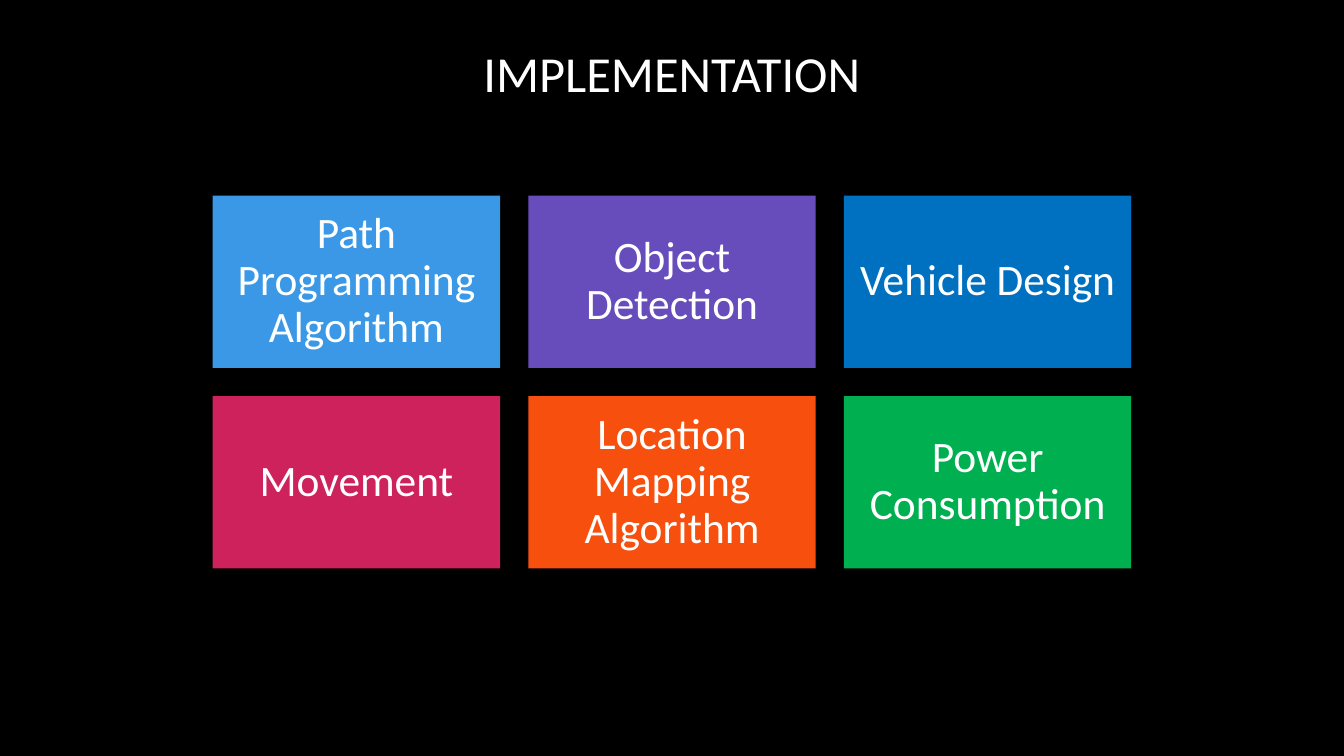
from pptx import Presentation
from pptx.dml.color import RGBColor
from pptx.enum.shapes import MSO_SHAPE
from pptx.enum.text import MSO_ANCHOR, PP_ALIGN
from pptx.util import Inches, Pt

FONT = "Calibri"
WHITE = "FFFFFF"
COLUMNS = 3
GRID_LEFT, GRID_TOP = 2.11, 1.94
TILE_WIDTH, TILE_HEIGHT, GAP = 2.85, 1.71, 0.28
TOPICS = [
    ("Path Programming Algorithm", "3B98E6"),
    ("Object Detection", "674DBB"),
    ("Vehicle Design", "0070C0"),
    ("Movement", "CE225C"),
    ("Location Mapping Algorithm", "F64F0E"),
    ("Power Consumption", "00B050"),
]


def set_fill(fill, color):
    """Give a fill one solid colour."""
    fill.solid()
    fill.fore_color.rgb = RGBColor.from_string(color)


def write_text(shape, text, size, anchor):
    """Write centred white text in a shape."""
    text_frame = shape.text_frame
    text_frame.word_wrap = True
    text_frame.vertical_anchor = anchor
    text_frame.text = text
    paragraph = text_frame.paragraphs[0]
    paragraph.alignment = PP_ALIGN.CENTER
    font = paragraph.runs[0].font
    font.name = FONT
    font.size = Pt(size)
    set_fill(font.fill, WHITE)


def add_title(slide, text):
    """Add the slide heading."""
    title = slide.shapes.add_textbox(
        Inches(3.55), Inches(0.13), Inches(6.23), Inches(0.94)
    )
    write_text(title, text, 36, MSO_ANCHOR.BOTTOM)


def add_tile(slide, left, top, text, color):
    """Add one coloured topic tile."""
    tile = slide.shapes.add_shape(
        MSO_SHAPE.RECTANGLE,
        Inches(left), Inches(top), Inches(TILE_WIDTH), Inches(TILE_HEIGHT),
    )
    tile.shadow.inherit = False
    set_fill(tile.fill, color)
    tile.line.fill.background()
    write_text(tile, text, 31, MSO_ANCHOR.MIDDLE)
    text_frame = tile.text_frame
    text_frame.margin_left = text_frame.margin_right = Inches(0.13)
    text_frame.margin_top = text_frame.margin_bottom = Inches(0.13)
    text_frame.paragraphs[0].line_spacing = 0.9


def main():
    """Build and save the presentation."""
    presentation = Presentation()
    presentation.slide_width = Inches(13.33)
    presentation.slide_height = Inches(7.5)
    slide = presentation.slides.add_slide(presentation.slide_layouts[6])
    set_fill(slide.background.fill, "000000")
    for index, (text, color) in enumerate(TOPICS):
        row, column = divmod(index, COLUMNS)
        left = GRID_LEFT + column * (TILE_WIDTH + GAP)
        top = GRID_TOP + row * (TILE_HEIGHT + GAP)
        add_tile(slide, left, top, text, color)
    add_title(slide, "IMPLEMENTATION")
    presentation.save("out.pptx")


if __name__ == "__main__":
    main()
